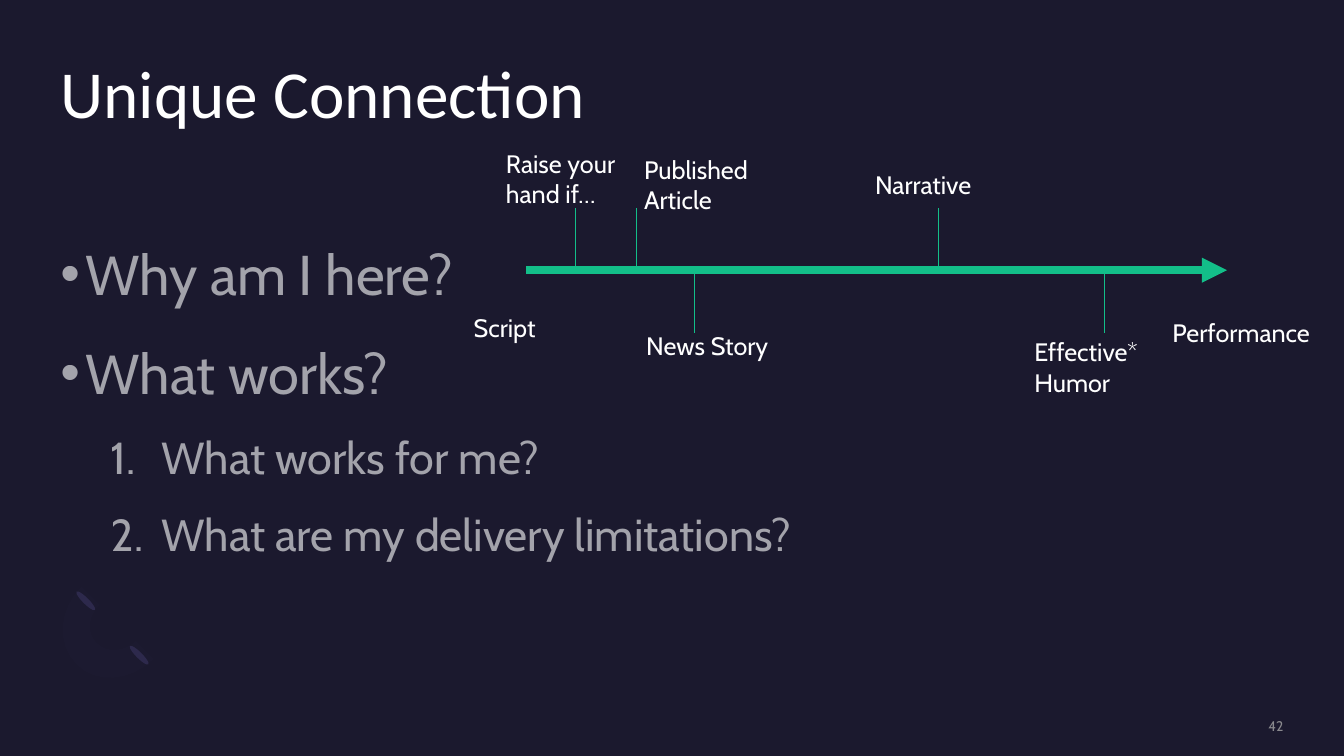
from lxml import etree
from pptx import Presentation
from pptx import util as u
from pptx.dml.color import RGBColor
from pptx.enum import shapes, text
from pptx.oxml.ns import qn

NAVY = RGBColor(0x1B, 0x19, 0x2E)
WHITE = RGBColor(0xFF, 0xFF, 0xFF)
GREY = RGBColor(0xA6, 0xA6, 0xA6)
GREEN = RGBColor(0x13, 0xBE, 0x89)
INDIGO = RGBColor(0x2C, 0x28, 0x4A)
LILAC = RGBColor(0x77, 0x71, 0xB2)


def add_span(para, words, size, color, font="Cabin", opacity=100):
    span = para.add_run()
    span.text = words
    span.font.size = u.Pt(size)
    span.font.name = font
    span.font.color.rgb = color
    if opacity < 100:
        tint = span._r.find(".//" + qn("a:srgbClr"))
        etree.SubElement(tint, qn("a:alpha"), val=str(opacity * 1000))


def add_line(x1, y1, x2, y2, width):
    line = page.shapes.add_connector(
        shapes.MSO_CONNECTOR.STRAIGHT,
        u.Inches(x1), u.Inches(y1), u.Inches(x2), u.Inches(y2))
    line.line.color.rgb = GREEN
    line.line.width = u.Pt(width)
    etree.SubElement(line._element.spPr, qn("a:effectLst"))
    return line


deck = Presentation()
deck.slide_width, deck.slide_height = u.Inches(13.33), u.Inches(7.5)
page = deck.slides.add_slide(deck.slide_layouts[5])
page.background.fill.solid()
page.background.fill.fore_color.rgb = NAVY

# Corner ornament: two slim ellipses and a faint open ring
for left, top in [(1.35, 6.37), (0.82, 5.83)]:
    ellipse = page.shapes.add_shape(
        shapes.MSO_SHAPE.OVAL, u.Inches(left), u.Inches(top), u.Inches(0.06), u.Inches(0.26))
    ellipse.rotation = 135
    ellipse.shadow.inherit = False
    ellipse.fill.solid()
    ellipse.fill.fore_color.rgb = INDIGO
    ellipse.line.fill.background()

outer_start, inner_start = (0.76, 6.59), (0.99, 6.0)
curves = [
    [outer_start, (0.56, 6.39), (0.58, 6.05), (0.81, 5.82)],
    [inner_start, (0.87, 6.11), (0.86, 6.29), (0.96, 6.38)],
    [(0.96, 6.38), (1.06, 6.48), (1.23, 6.47), (1.35, 6.36)],
    [(1.52, 6.54), (1.3, 6.76), (0.95, 6.79), outer_start],
]
STEPS = 8
ring_points = []
for curve in curves:
    for step in range(STEPS + 1):
        t = step / STEPS
        weights = [(1 - t) ** 3, 3 * t * (1 - t) ** 2, 3 * t * t * (1 - t), t ** 3]
        ring_points.append(tuple(
            u.Inches(sum(w * point[axis] for w, point in zip(weights, curve)))
            for axis in (0, 1)))
builder = page.shapes.build_freeform(*ring_points[0])
builder.add_line_segments(ring_points[1:], close=True)
ring = builder.convert_to_shape()
ring.shadow.inherit = False
ring.fill.solid()
ring.fill.fore_color.rgb = LILAC
ring.line.fill.background()
ring_tint = ring._element.spPr.find(".//" + qn("a:srgbClr"))
etree.SubElement(ring_tint, qn("a:alpha"), val="2000")

# Title
title = page.shapes.title
title.left, title.top = u.Inches(0.6), u.Inches(0.6)
title.width, title.height = u.Inches(12.13), u.Inches(1.46)
frame = title.text_frame
frame.margin_left = frame.margin_top = frame.margin_right = frame.margin_bottom = 0
frame.vertical_anchor = text.MSO_ANCHOR.TOP
frame.word_wrap = True
para = frame.paragraphs[0]
para.alignment = text.PP_ALIGN.LEFT
para.line_spacing = 0.9
add_span(para, "Unique Connection", 48, WHITE, "Calibri")

# Questions: bullets, then a numbered sublist
box = page.shapes.add_textbox(u.Inches(0.6), u.Inches(2.31), u.Inches(12.13), u.Inches(4.35))
frame = box.text_frame
frame.margin_left = frame.margin_top = frame.margin_right = frame.margin_bottom = 0
frame.word_wrap = True
questions = [
    ("Why am I here?", 0),
    ("What works?", 0),
    ("What works for me?", 1),
    ("What are my delivery limitations?", 1),
]
for index, (question, level) in enumerate(questions):
    para = frame.add_paragraph() if index else frame.paragraphs[0]
    para.level = level
    para.line_spacing = 1.1
    if index:
        para.space_before = u.Pt(5 if level else 10)
    para.space_after = u.Pt(8)
    margin, hang = (1, 0.5) if level else (0.25, 0.25)
    props = para._p.get_or_add_pPr()
    props.set("marL", str(u.Inches(margin)))
    props.set("indent", str(-u.Inches(hang)))
    if level:
        etree.SubElement(props, qn("a:buFont"), typeface="+mj-lt")
        etree.SubElement(props, qn("a:buAutoNum"), type="arabicPeriod")
    else:
        etree.SubElement(props, qn("a:buFont"), typeface="Arial")
        etree.SubElement(props, qn("a:buChar"), char="•")
    add_span(para, question, 32 if level else 40, WHITE, opacity=60)

# Page number
box = page.shapes.add_textbox(u.Inches(10.88), u.Inches(7.12), u.Inches(1.85), u.Inches(0.17))
frame = box.text_frame
frame.margin_left = frame.margin_top = frame.margin_right = frame.margin_bottom = 0
frame.vertical_anchor = text.MSO_ANCHOR.MIDDLE
frame.word_wrap = True
para = frame.paragraphs[0]
para.alignment = text.PP_ALIGN.RIGHT
add_span(para, "42", 10, GREY, opacity=80)

# Scale from script to performance
AXIS = 2.68
TICK = 0.62
arrow = add_line(5.22, AXIS, 12.17, AXIS, 6)
etree.SubElement(arrow.line._get_or_add_ln(), qn("a:tailEnd"), type="triangle")

# Ticks above the axis (-1) and below it (1)
for x, side in [(5.71, -1), (6.31, -1), (9.31, -1), (6.89, 1), (10.95, 1)]:
    add_line(x, AXIS, x, AXIS + side * TICK, 0.5)

# Labels: words, left, top, width, height
labels = [
    ("Script", 4.6, 3.05, 2, 0.4),
    ("Performance", 11.53, 3.1, 2, 0.4),
    ("News Story", 6.31, 3.23, 1.58, 0.4),
    ("Narrative", 8.58, 1.63, 1.58, 0.4),
    ("Raise your hand if…", 4.92, 1.42, 1.58, 0.71),
    ("Published Article", 6.29, 1.48, 1.58, 0.71),
    ("Effective* Humor", 10.16, 3.29, 1.58, 0.71),
]
for words, *place in labels:
    box = page.shapes.add_textbox(*[u.Inches(length) for length in place])
    box.text_frame.word_wrap = True
    box.text_frame.auto_size = text.MSO_AUTO_SIZE.SHAPE_TO_FIT_TEXT
    add_span(box.text_frame.paragraphs[0], words, 18, WHITE)

deck.save("out.pptx")
